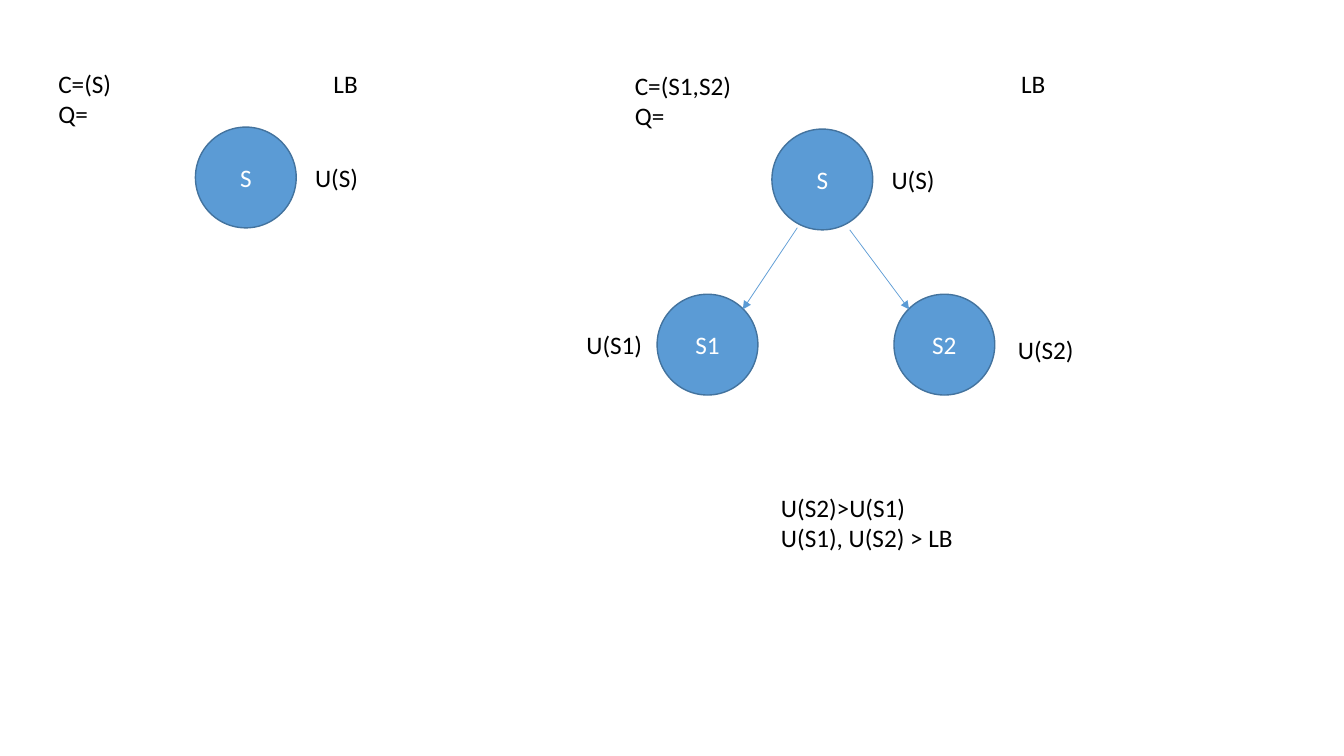
import pptx
import pptx.dml.color
import pptx.enum.dml
import pptx.enum.shapes
import pptx.enum.text
import pptx.oxml
import pptx.oxml.ns
import pptx.util
from dataclasses import dataclass

Pt = pptx.util.Pt
RGB = pptx.dml.color.RGBColor


@dataclass(frozen=True)
class Theme:
    node_fill: RGB = RGB(0x5B, 0x9B, 0xD5)
    node_line: RGB = RGB(0x43, 0x73, 0x9E)
    node_text: RGB = RGB(0xFF, 0xFF, 0xFF)
    text: RGB = RGB(0, 0, 0)
    font: str = "Calibri"
    size: float = 18
    outline: float = 1
    arrow: float = 0.5


THEME = Theme()
NODE_SIZE = 72
LINE_HEIGHT = 21.8
LABEL_PADDING = 7.2


def style_text(frame, color):
    for paragraph in frame.paragraphs:
        for run in paragraph.runs:
            run.font.name = THEME.font
            run.font.size = Pt(THEME.size)
            run.font.color.rgb = color


def add_label(slide, left, top, width, text):
    height = LINE_HEIGHT * len(text.split("\n")) + LABEL_PADDING
    label = slide.shapes.add_textbox(Pt(left), Pt(top), Pt(width), Pt(height))
    frame = label.text_frame
    frame.text = text
    frame.word_wrap = False
    frame.auto_size = pptx.enum.text.MSO_AUTO_SIZE.SHAPE_TO_FIT_TEXT
    style_text(frame, THEME.text)


def add_node(slide, left, top, name):
    node = slide.shapes.add_shape(
        pptx.enum.shapes.MSO_SHAPE.OVAL,
        Pt(left), Pt(top), Pt(NODE_SIZE), Pt(NODE_SIZE))
    node.shadow.inherit = False
    node.fill.solid()
    node.fill.fore_color.rgb = THEME.node_fill
    node.line.color.rgb = THEME.node_line
    node.line.width = Pt(THEME.outline)
    frame = node.text_frame
    frame.text = name
    frame.vertical_anchor = pptx.enum.text.MSO_ANCHOR.MIDDLE
    frame.paragraphs[0].alignment = pptx.enum.text.PP_ALIGN.CENTER
    style_text(frame, THEME.node_text)


def add_branch(slide, x1, y1, x2, y2):
    branch = slide.shapes.add_connector(
        pptx.enum.shapes.MSO_CONNECTOR.STRAIGHT, Pt(x1), Pt(y1), Pt(x2), Pt(y2))
    branch.line.color.rgb = THEME.node_fill
    branch.line.width = Pt(THEME.arrow)
    # Arrowhead at the child, no shadow
    outline = branch.line._get_or_add_ln()
    head = pptx.oxml.parse_xml(
        f'<a:tailEnd {pptx.oxml.ns.nsdecls("a")} type="triangle"/>')
    outline.append(head)
    branch._element.spPr.append(pptx.oxml.parse_xml(
        f'<a:effectLst {pptx.oxml.ns.nsdecls("a")}/>'))


def add_root(slide, left, top, candidates, candidates_width, bound_left, bound_top):
    """Candidate set, lower bound and root node with its upper bound."""
    add_node(slide, left + 105, top + 45.4, "S")
    add_label(slide, left, top, candidates_width, f"C={candidates}\nQ=")
    add_label(slide, left + 183.4, top + 67, 45.4, "U(S)")
    add_label(slide, bound_left, bound_top, 32.4, "LB")


def add_children(slide, left, top):
    """Two child nodes, their upper bounds and the resulting condition."""
    for name, node_x, label_x, label_y in (
            ("S1", 23, -34.6, 185), ("S2", 192.2, 273.6, 188.6)):
        add_node(slide, left + node_x, top + 163.4, name)
        add_label(slide, left + label_x, top + label_y, 54.7, f"U({name})")
    for start_x, start_y, end_x in ((123.1, 115.9, 84.2), (160.6, 117.4, 203)):
        add_branch(slide, left + start_x, top + start_y, left + end_x, top + 174.2)
    add_label(slide, left + 104.4, top + 301, 139,
              "U(S2)>U(S1)\nU(S1), U(S2) > LB")


def main():
    deck = pptx.Presentation()
    deck.slide_width, deck.slide_height = Pt(960), Pt(540)
    slide = deck.slides.add_slide(deck.slide_layouts[6])
    # Initial step
    add_root(slide, 34.6, 45.4, "(S)", 52.6, 231.1, 45.4)
    # Step after branching
    add_root(slide, 446.4, 46.8, "(S1,S2)", 84.2, 722.2, 45.4)
    add_children(slide, 446.4, 46.8)
    deck.save("out.pptx")


if __name__ == "__main__":
    main()
